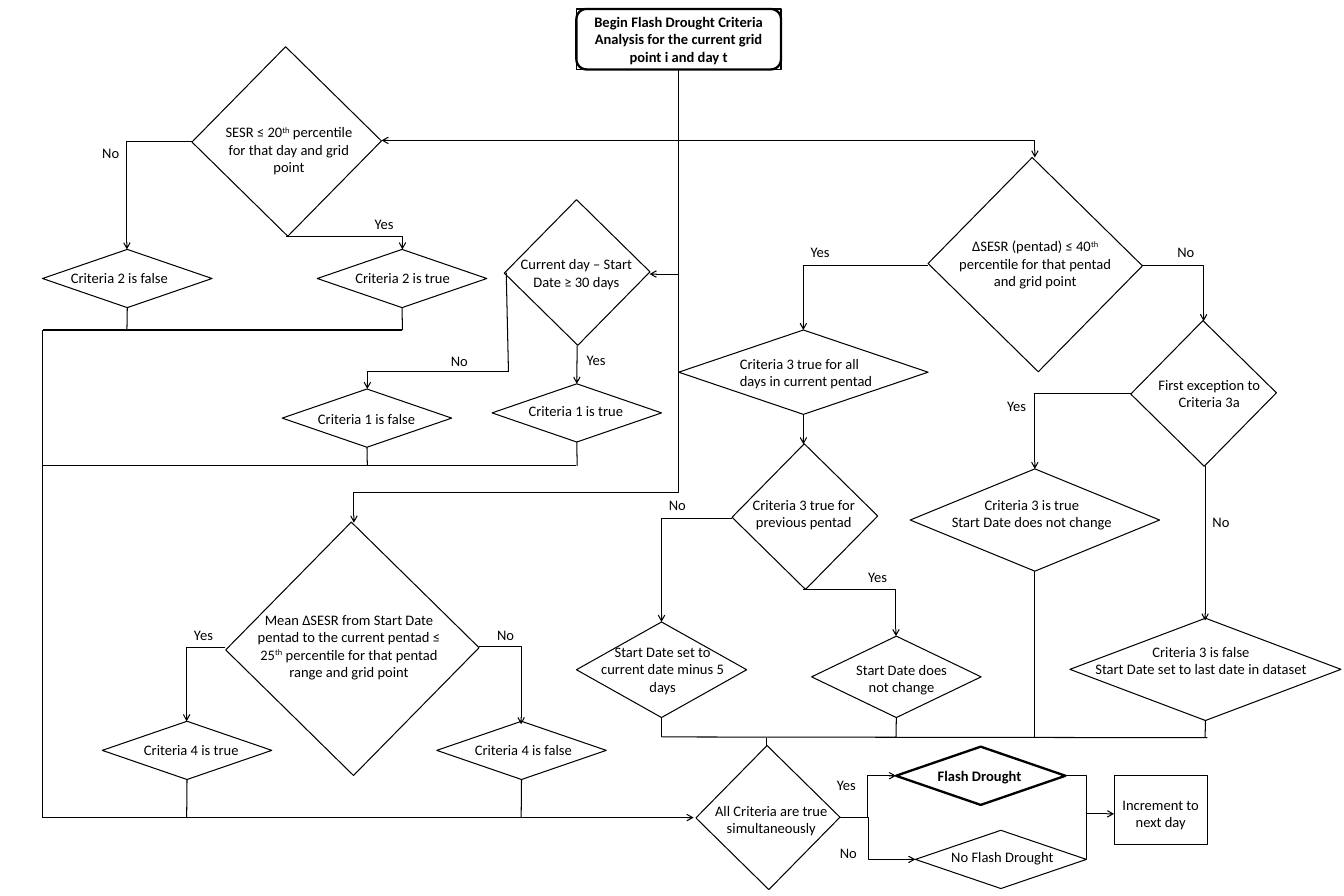
"""Build the flash drought decision flow chart."""
from math import hypot
from typing import NamedTuple

from lxml.etree import SubElement
from pptx import Presentation
from pptx.dml.color import RGBColor
from pptx.enum.shapes import MSO_CONNECTOR, MSO_SHAPE
from pptx.enum.text import MSO_AUTO_SIZE, PP_ALIGN
from pptx.oxml.ns import qn
from pptx.shapes.autoshape import Shape
from pptx.slide import Slide
from pptx.util import Inches, Pt

BLACK = RGBColor(0, 0, 0)
HEIGHTS = {1: 0.34, 2: 0.57, 3: 0.81, 4: 1.04}
SITES = ((0.5, 0), (0, 0.5), (0.5, 1), (1, 0.5))
LEFT, MID = PP_ALIGN.LEFT, PP_ALIGN.CENTER


class Note(NamedTuple):
    text: str
    x: float
    y: float
    wide: float
    rows: int = 1
    align: PP_ALIGN = MID
    bold: bool = False


class Node(NamedTuple):
    x: float
    y: float
    wide: float = 2.27
    high: float = 0.78
    kind: MSO_SHAPE = MSO_SHAPE.FLOWCHART_DECISION
    turn: float = 0
    line: float = 1


class Link(NamedTuple):
    x: float
    y: float
    to_x: float
    to_y: float
    arrow: bool = False


class Bend(NamedTuple):
    x: float
    y: float
    to_x: float
    to_y: float
    down: bool = False
    arrow: bool = True
    split: float | None = None


START = Note("Begin Flash Drought Criteria Analysis for the current grid point i and day t",
             7.72, 0.12, 2.74, 3, bold=True)
NOTES = [
    START,
    Note("ΔSESR (pentad) ≤ 40|th| percentile for that pentad and grid point", 12.63, 3.13, 2.47, 3),
    Note("SESR ≤ 20|th| percentile for that day and grid point", 2.83, 1.6, 2.08, 3),
    Note("Criteria 3 true for all days in current pentad", 9.81, 4.7, 2.01, 2, LEFT),
    Note("First exception to Criteria 3a", 15.3, 4.98, 1.79, 2),
    Note("Criteria 3 true for previous pentad", 9.95, 6.59, 1.63, 2),
    Note("Criteria 3 is true\nStart Date does not change", 12.63, 6.59, 2.38, 2),
    Note("Criteria 3 is false\nStart Date set to last date in dataset", 14.55, 8.56, 3.07, 2),
    Note("Start Date set to current date minus 5 days", 7.94, 8.56, 1.87, 3),
    Note("Start Date does not change", 11.25, 8.8, 1.65, 2),
    Note("Current day – Start Date ≥ 30 days", 6.71, 3.37, 2.02, 2),
    Note("Mean ΔSESR from Start Date pentad to the current pentad ≤ 25|th| percentile "
         "for that pentad range and grid point", 3.2, 8.13, 2.95, 4),
    Note("All Criteria are true simultaneously", 9.47, 10.69, 1.72, 2),
    Note("Flash Drought", 12.45, 10.22, 1.34, bold=True),
    Note("No Flash Drought", 12.63, 11.31, 1.59),
    Note("Increment to next day", 14.92, 10.61, 1.25, 2),
]
TAGS = {
    ("Yes", 0.47): [(4.92, 2.83), (10.76, 3.21), (13.39, 5.27), (11.53, 7.56),
                    (7.76, 4.65), (2.5, 8.33), (11.11, 10.35)],
    ("No", 0.43): [(1.27, 1.88), (15.67, 3.21), (16.14, 6.82), (8.86, 6.6),
                   (5.94, 4.67), (6.56, 8.33), (11.15, 11.26)],
    ("Criteria 1 is true", 1.48): [(6.98, 5.34)],
    ("Criteria 1 is false", 1.52): [(4.16, 5.44)],
    ("Criteria 2 is true", 1.48): [(4.66, 3.55)],
    ("Criteria 2 is false", 1.52): [(0.85, 3.55)],
    ("Criteria 4 is true", 1.48): [(1.83, 9.88)],
    ("Criteria 4 is false", 1.52): [(6.26, 9.88)],
}
TESTS = [(2.94, 1, 1.8, 1.79), (12.83, 2.55, 2.07, 1.99), (15.43, 4.58, 1.38, 1.38),
         (10.09, 6.23, 1.38, 1.38), (7.04, 2.96, 1.38, 1.38), (3.52, 7.49, 2.4, 2.4),
         (9.6, 10.27, 1.37, 1.36)]
NODES = [
    Node(7.72, 0.12, 2.74, 0.81, MSO_SHAPE.FLOWCHART_ALTERNATE_PROCESS, line=2.25),
    *(Node(*test, MSO_SHAPE.RECTANGLE, 44.5) for test in TESTS),
    Node(4.25, 3.34), Node(0.57, 3.34), Node(6.59, 5.14), Node(3.78, 5.21),
    Node(5.85, 9.66), Node(1.37, 9.66),
    Node(9.09, 4.42, 3.34, 1.13), Node(12.19, 6.28, 3.34, 1.37),
    Node(14.33, 8.28, 3.63, 1.37), Node(7.72, 8.33, 2.28, 1.28),
    Node(10.87, 8.52, 2.27, 1.09), Node(12, 10, line=2.25), Node(12.26, 11.12, 2.29),
    Node(14.92, 10.39, 1.25, 0.92, MSO_SHAPE.FLOWCHART_PROCESS),
]
LINKS = [
    Link(10.76, 5.55, 10.76, 5.95, True), Link(16.14, 6.24, 16.14, 8.31, True),
    Link(7.73, 4.63, 7.73, 5.14, True), Link(0.57, 10.95, 9.29, 10.95, True),
    Link(8.86, 9.61, 8.86, 9.87), Link(8.86, 9.87, 16.17, 9.88),
    Link(16.14, 9.87, 16.14, 9.66), Link(12, 9.61, 12, 9.87),
    Link(13.86, 7.66, 13.86, 9.87), Link(6.78, 3.65, 6.81, 4.98),
    Link(5.39, 4.12, 5.39, 4.42), Link(5.39, 4.42, 0.57, 4.42),
    Link(0.57, 4.42, 0.57, 10.95), Link(1.7, 4.12, 1.7, 4.42),
    Link(7.73, 5.92, 7.73, 6.24), Link(7.72, 6.24, 0.57, 6.24),
    Link(4.92, 5.99, 4.92, 6.24), Link(2.5, 10.44, 2.5, 10.95),
    Link(6.98, 10.43, 6.98, 10.95), Link(10.26, 9.99, 10.26, 9.88),
    Link(14.55, 10.9, 14.55, 11.51), Link(14.55, 10.9, 14.64, 10.9),
]
BENDS = [
    Bend(9.09, 0.93, 5.11, 1.88, down=True), Bend(2.57, 1.89, 1.7, 3.34),
    Bend(3.83, 3.17, 5.39, 3.34), Bend(9.09, 1.88, 13.86, 2.11),
    Bend(12.43, 3.55, 10.76, 4.42), Bend(15.3, 3.55, 16.12, 4.3),
    Bend(15.15, 5.27, 13.86, 6.28), Bend(10.76, 7.89, 12, 8.52),
    Bend(9.81, 6.95, 8.86, 8.33), Bend(9.09, 1.88, 8.7, 3.67, down=True),
    Bend(9.09, 3.65, 6.59, 6.59, down=True, arrow=False), Bend(6.59, 6.59, 4.74, 7),
    Bend(6.41, 8.66, 6.98, 9.7), Bend(3.02, 8.67, 2.5, 9.66),
    Bend(6.81, 4.98, 4.92, 5.21), Bend(11.24, 10.95, 12, 10.39, split=0.5),
    Bend(11.58, 10.95, 12.26, 11.51, split=0.07),
    Bend(14.27, 10.39, 14.92, 10.9, split=0.43),
]


def write(slide: Slide, note: Note) -> Shape:
    box = slide.shapes.add_textbox(Inches(note.x), Inches(note.y),
                                   Inches(note.wide), Inches(HEIGHTS[note.rows]))
    frame = box.text_frame
    frame.word_wrap = note.rows > 1 and "\n" not in note.text
    frame.auto_size = MSO_AUTO_SIZE.SHAPE_TO_FIT_TEXT
    frame.text = note.text.split("|")[0]
    for part in note.text.split("|")[1:]:
        frame.paragraphs[0].add_run().text = part
    for para in frame.paragraphs:
        para.alignment = note.align
        for spot, run in enumerate(para.runs):
            run.font.name, run.font.size = "Calibri", Pt(14)
            run.font.bold, run.font.color.rgb = note.bold, BLACK
            if spot % 2:
                run.font._element.set("baseline", "30000")
    return box


def place(slide: Slide, node: Node) -> Shape:
    shape = slide.shapes.add_shape(node.kind, Inches(node.x), Inches(node.y),
                                   Inches(node.wide), Inches(node.high))
    shape.rotation = node.turn
    shape.shadow.inherit = False
    shape.fill.background()
    shape.line.color.rgb, shape.line.width = BLACK, Pt(node.line)
    return shape


def wire(slide: Slide, kind: MSO_CONNECTOR, link: Link):
    line = slide.shapes.add_connector(kind, *(Inches(spot) for spot in link[:4]))
    line.line.color.rgb, line.line.width = BLACK, Pt(1)
    props = line._element.spPr
    if link.arrow:
        SubElement(props.find(qn("a:ln")), qn("a:tailEnd"), type="arrow")
    SubElement(props, qn("a:effectLst"))
    return line


def join(slide: Slide, link: Link, shapes: list[tuple[Node, Shape]]) -> None:
    line = wire(slide, MSO_CONNECTOR.STRAIGHT, link)
    for node, shape in shapes:
        for site, (across, drop) in enumerate(SITES):
            x, y = node.x + across * node.wide, node.y + drop * node.high
            if hypot(x - link.x, y - link.y) < 0.03:
                line.begin_connect(shape, site)
            elif hypot(x - link.to_x, y - link.to_y) < 0.03:
                line.end_connect(shape, site)


def bend(slide: Slide, item: Bend) -> None:
    x, y, to_x, to_y = item[:4]
    if item.down:
        mid_x, mid_y = (x + to_x) / 2, (y + to_y) / 2
        half, side = (to_y - y) / 2, (to_x - x) / 2
        x, y, to_x, to_y = mid_x - half, mid_y + side, mid_x + half, mid_y - side
    line = wire(slide, MSO_CONNECTOR.ELBOW, Link(x, y, to_x, to_y, item.arrow))
    props = line._element.spPr
    if item.down:
        props.find(qn("a:xfrm")).set("rot", "5400000")
    shape = props.find(qn("a:prstGeom"))
    if item.split is None:
        shape.set("prst", "bentConnector2")
    else:
        SubElement(shape.find(qn("a:avLst")), qn("a:gd"), name="adj1",
                   fmla=f"val {round(item.split * 100000)}")


def main() -> None:
    deck = Presentation()
    deck.slide_width, deck.slide_height = Inches(18), Inches(12)
    slide = deck.slides.add_slide(deck.slide_layouts[6])
    for note in NOTES:
        box = write(slide, note)
        if note is START:
            box.line.color.rgb, box.line.width = BLACK, Pt(1.5)
    for (text, wide), spots in TAGS.items():
        for x, y in spots:
            write(slide, Note(text, x, y, wide, align=LEFT))
    shapes = [(node, place(slide, node)) for node in NODES]
    level = [pair for pair in shapes if not pair[0].turn]
    for link in LINKS:
        join(slide, link, level)
    for item in BENDS:
        bend(slide, item)
    deck.save("out.pptx")


if __name__ == "__main__":
    main()
